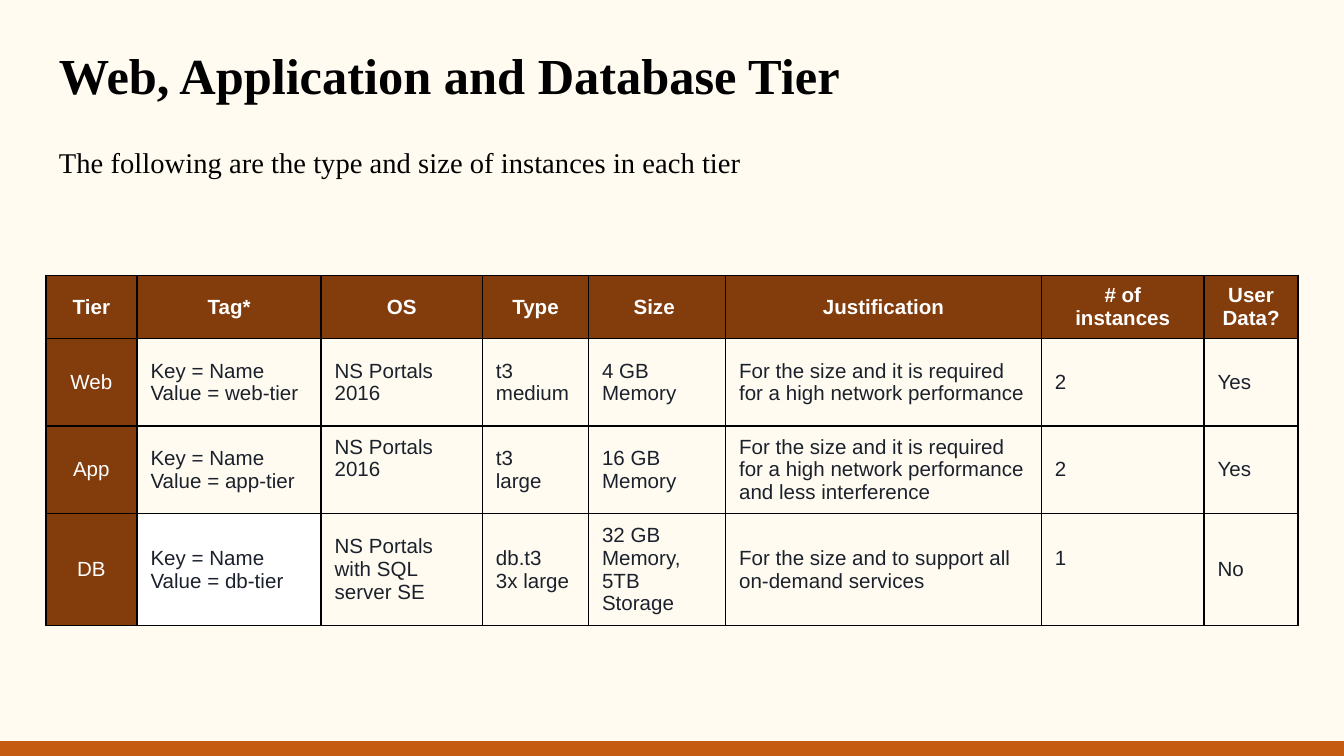
from dataclasses import dataclass

import lxml.etree
import pptx
import pptx.dml.color
import pptx.enum.shapes
import pptx.enum.text
import pptx.oxml.ns
import pptx.util

Inches = pptx.util.Inches
Pt = pptx.util.Pt
Anchor = pptx.enum.text.MSO_ANCHOR
Align = pptx.enum.text.PP_ALIGN


def rgb(code: str) -> pptx.dml.color.RGBColor:
    return pptx.dml.color.RGBColor.from_string(code)


@dataclass(frozen=True)
class Theme:
    background: str = "FFFBF0"
    footer: str = "C55A11"
    header: str = "833C0B"
    border: str = "000000"
    heading: str = "000000"
    body: str = "1B212C"
    white: str = "FFFFFF"
    serif: str = "Times New Roman"
    sans: str = "Arial"
    title_size: float = 27
    intro_size: float = 15.3
    table_size: float = 11
    border_width: float = 1


@dataclass(frozen=True)
class Heading:
    text: str
    top: float
    height: float
    size: float
    bold: bool
    anchor: Anchor
    line_spacing: float = 1.0
    space_after: float = 0


@dataclass(frozen=True)
class Entry:
    text: str
    fill: str | None
    color: str
    bold: bool = False
    align: Align = Align.LEFT
    lift: float = 0


THEME = Theme()
SLIDE_WIDTH = 10
SLIDE_HEIGHT = SLIDE_WIDTH * 9 / 16
MARGIN = 0.34
CONTENT_WIDTH = SLIDE_WIDTH - 2 * MARGIN
FOOTER_HEIGHT = 0.11
TABLE_TOP = 2.05
TABLE_HEIGHT = 2.6
COLUMN_WIDTHS = (0.68, 1.37, 1.2, 0.79, 1.02, 2.35, 1.21, 0.7)
ROW_HEIGHTS = (0.47, 0.65, 0.65, 0.47)
ONE_LINE = 0.17

HEADINGS = (
    Heading("Web, Application and Database Tier", 0.22, 0.67,
            THEME.title_size, True, Anchor.MIDDLE),
    Heading("The following are the type and size of instances in each tier", 1, 0.45,
            THEME.intro_size, False, Anchor.TOP, 0.95, 12),
)
COLUMN_NAMES = ("Tier", "Tag*", "OS", "Type", "Size ", "Justification",
                "# of instances", "User Data?")
TIERS = (
    ("Web", "Key = Name\nValue = web-tier", "NS Portals 2016", "t3\nmedium", "4 GB Memory",
     "For the size and it is required for a high network performance", "2", "Yes"),
    ("App", "Key = Name\nValue = app-tier", "NS Portals 2016", "t3\nlarge", "16 GB Memory",
     "For the size and it is required for a high network performance and less interference",
     "2", "Yes"),
    ("DB", "Key = Name\nValue = db-tier", "NS Portals with SQL server SE", "db.t3\n3x large",
     "32 GB Memory, 5TB Storage",
     "For the size and to support all on-demand services", "1", "No"),
)
HIGHLIGHTED = {("DB", "Tag*")}
LIFTED = {("App", "OS"), ("DB", "# of instances")}


def add_footer(slide: pptx.slide.Slide) -> None:
    footer = slide.shapes.add_shape(
        pptx.enum.shapes.MSO_SHAPE.RECTANGLE, 0, Inches(SLIDE_HEIGHT - FOOTER_HEIGHT),
        Inches(SLIDE_WIDTH), Inches(FOOTER_HEIGHT))
    footer.shadow.inherit = False
    footer.fill.solid()
    footer.fill.fore_color.rgb = rgb(THEME.footer)
    footer.line.fill.background()


def add_heading(slide: pptx.slide.Slide, heading: Heading) -> None:
    frame = slide.shapes.add_textbox(
        Inches(MARGIN), Inches(heading.top),
        Inches(CONTENT_WIDTH), Inches(heading.height)).text_frame
    frame.word_wrap = True
    frame.vertical_anchor = heading.anchor
    frame.margin_left = frame.margin_right = Inches(0.1)
    frame.margin_top = frame.margin_bottom = Inches(0.1)
    paragraph = frame.paragraphs[0]
    paragraph.text = heading.text
    paragraph.line_spacing = heading.line_spacing
    paragraph.space_after = Pt(heading.space_after)
    paragraph.font.name = THEME.serif
    paragraph.font.size = Pt(heading.size)
    paragraph.font.bold = heading.bold
    paragraph.font.color.rgb = rgb(THEME.heading)


def make_entry(tier: str, column: str, text: str) -> Entry:
    if column == "Tier":
        return Entry(text, THEME.header, THEME.white, align=Align.CENTER)
    return Entry(text, THEME.white if (tier, column) in HIGHLIGHTED else None, THEME.body,
                 lift=ONE_LINE if (tier, column) in LIFTED else 0)


def add_borders(cell: pptx.table._Cell) -> None:
    properties = cell._tc.get_or_add_tcPr()
    for side in ("a:lnL", "a:lnR", "a:lnT", "a:lnB"):
        border = lxml.etree.SubElement(properties, pptx.oxml.ns.qn(side),
                                       w=str(Pt(THEME.border_width)))
        fill = lxml.etree.SubElement(border, pptx.oxml.ns.qn("a:solidFill"))
        lxml.etree.SubElement(fill, pptx.oxml.ns.qn("a:srgbClr"), val=THEME.border)


def fill_cell(cell: pptx.table._Cell, entry: Entry) -> None:
    add_borders(cell)
    if entry.fill:
        cell.fill.solid()
        cell.fill.fore_color.rgb = rgb(entry.fill)
    else:
        cell.fill.background()
    cell.vertical_anchor = Anchor.MIDDLE
    cell.margin_left = cell.margin_right = Inches(0.1)
    cell.margin_top = Inches(0.05)
    cell.margin_bottom = Inches(0.05 + entry.lift)
    cell.text = entry.text
    for paragraph in cell.text_frame.paragraphs:
        paragraph.alignment = entry.align
        paragraph.font.name = THEME.sans
        paragraph.font.size = Pt(THEME.table_size)
        paragraph.font.bold = entry.bold
        paragraph.font.color.rgb = rgb(entry.color)


def add_tier_table(slide: pptx.slide.Slide) -> None:
    header = [Entry(name, THEME.header, THEME.white, True, Align.CENTER)
              for name in COLUMN_NAMES]
    tiers = [[make_entry(tier[0], column, text) for column, text in zip(COLUMN_NAMES, tier)]
             for tier in TIERS]
    tier_frame = slide.shapes.add_table(
        len(ROW_HEIGHTS), len(COLUMN_WIDTHS), Inches(MARGIN), Inches(TABLE_TOP),
        Inches(CONTENT_WIDTH), Inches(TABLE_HEIGHT))
    table = tier_frame.table
    table.first_row = table.horz_banding = False
    for column, width in zip(table.columns, COLUMN_WIDTHS):
        column.width = Inches(width)
    for row, height, entries in zip(table.rows, ROW_HEIGHTS, [header, *tiers]):
        row.height = Inches(height)
        for cell, entry in zip(row.cells, entries):
            fill_cell(cell, entry)
    tier_frame.height = Inches(TABLE_HEIGHT)


def main() -> None:
    presentation = pptx.Presentation()
    presentation.slide_width = Inches(SLIDE_WIDTH)
    presentation.slide_height = Inches(SLIDE_HEIGHT)
    slide = presentation.slides.add_slide(presentation.slide_layouts[6])
    slide.background.fill.solid()
    slide.background.fill.fore_color.rgb = rgb(THEME.background)
    add_footer(slide)
    for heading in HEADINGS:
        add_heading(slide, heading)
    add_tier_table(slide)
    presentation.save("out.pptx")


if __name__ == "__main__":
    main()
